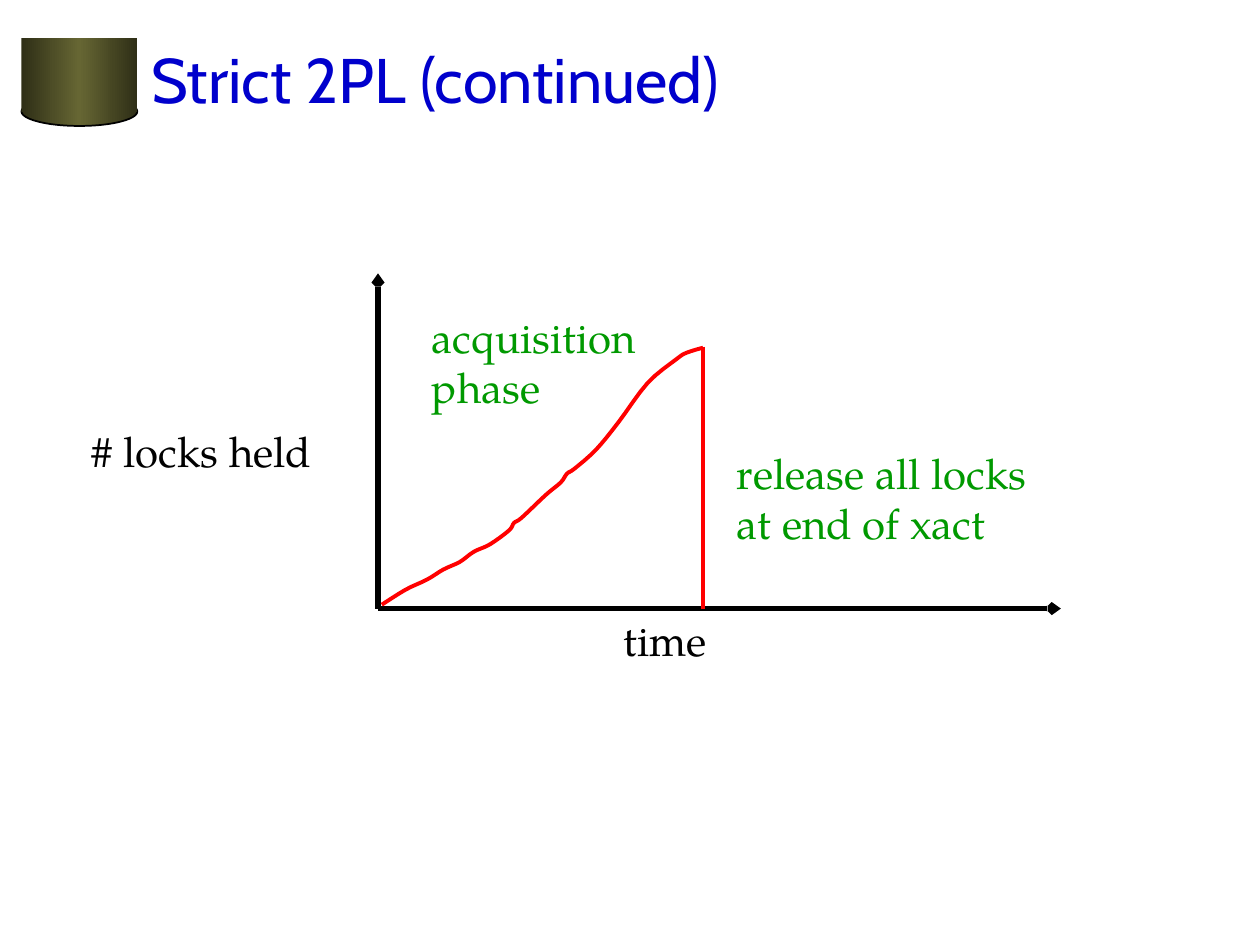
import copy
from dataclasses import dataclass

import pptx
import pptx.dml.color
import pptx.enum.shapes
import pptx.enum.text
import pptx.oxml.ns
import pptx.util

Inches = pptx.util.Inches
Pt = pptx.util.Pt
Shapes = pptx.enum.shapes.MSO_SHAPE
Anchor = pptx.enum.text.MSO_ANCHOR
qn = pptx.oxml.ns.qn


@dataclass(frozen=True)
class Theme:
    title_font: str = "Cabin"
    body_font: str = "TeX Gyre Pagella"
    title_size: int = 36
    body_size: int = 24
    title: str = "0000CC"
    ink: str = "000000"
    phase: str = "009900"
    locks: str = "FF0000"
    drum_edge: str = "2F2F17"
    drum_middle: str = "666633"
    axis_width: float = 3
    curve_width: float = 2.25


def rgb(value):
    return pptx.dml.color.RGBColor.from_string(value)


def write(box, text, *, font, size, color, anchor=Anchor.TOP, left_inset=0.1):
    """Put one formatted paragraph into a box."""
    frame = box.text_frame
    frame.word_wrap = True
    frame.vertical_anchor = anchor
    frame.margin_left = Inches(left_inset)
    span = frame.paragraphs[0].add_run()
    span.text = text
    span.font.name = font
    span.font.size = Pt(size)
    span.font.color.rgb = rgb(color)


def smooth(points, steps=4):
    """Sample a Catmull-Rom curve through the points."""
    padded = [points[0], *points, points[-1]]
    result = [points[0]]
    for a, b, c, d in zip(padded, padded[1:], padded[2:], padded[3:]):
        for step in range(1, steps + 1):
            t = step / steps
            result.append(tuple(
                (2 * q + (r - p) * t + (2 * p - 5 * q + 4 * r - s) * t ** 2
                 + (3 * q - p - 3 * r + s) * t ** 3) / 2
                for p, q, r, s in zip(a, b, c, d)))
    return result


class SlideBuilder:
    def __init__(self, page, theme):
        self.page = page
        self.theme = theme

    def text(self, text, left, top, width, height, **style):
        box = self.page.shapes.add_textbox(*map(Inches, (left, top, width, height)))
        defaults = dict(font=self.theme.body_font, size=self.theme.body_size,
                        color=self.theme.ink)
        write(box, text, **{**defaults, **style})

    def drum_part(self, kind, left, top, width, height, outline=None):
        part = self.page.shapes.add_shape(kind, *map(Inches, (left, top, width, height)))
        part.shadow.inherit = False
        part.fill.gradient()
        part.fill.gradient_angle = 180
        first = part.fill.gradient_stops
        for stop, position in zip(first, (0, 1)):
            stop.color.rgb = rgb(self.theme.drum_edge)
            stop.position = position
        stop_list = part._element.spPr.find(".//" + qn("a:gsLst"))
        stop_list.insert(1, copy.deepcopy(stop_list[0]))
        middle = part.fill.gradient_stops[1]
        middle.color.rgb = rgb(self.theme.drum_middle)
        middle.position = 0.5
        if outline:
            part.line.color.rgb = rgb(outline)
            part.line.width = Pt(1)
        else:
            part.line.fill.background()

    def line(self, start, end, color, width, arrow=False):
        line = self.page.shapes.add_connector(
            pptx.enum.shapes.MSO_CONNECTOR.STRAIGHT, *map(Inches, (*start, *end)))
        line.line.color.rgb = rgb(color)
        line.line.width = Pt(width)
        properties = line._element.spPr
        if arrow:
            tip = properties.find(qn("a:ln")).makeelement(
                qn("a:tailEnd"), {"type": "arrow", "w": "sm", "len": "sm"})
            properties.find(qn("a:ln")).append(tip)
        properties.append(properties.makeelement(qn("a:effectLst"), {}))

    def curve(self, points, color, width):
        vertices = [(Inches(x), Inches(y)) for x, y in smooth(points)]
        builder = self.page.shapes.build_freeform(*vertices[0])
        builder.add_line_segments(vertices[1:], close=False)
        curve = builder.convert_to_shape()
        curve.shadow.inherit = False
        curve.fill.background()
        curve.line.color.rgb = rgb(color)
        curve.line.width = Pt(width)


LOCK_CURVE = [
    (3.03, 4.8), (3.22, 4.68), (3.39, 4.6), (3.52, 4.52), (3.65, 4.46),
    (3.76, 4.38), (3.89, 4.32), (4.04, 4.21), (4.08, 4.15), (4.14, 4.11),
    (4.33, 3.93), (4.45, 3.83), (4.5, 3.76), (4.56, 3.72), (4.73, 3.57),
    (4.91, 3.35), (5.14, 3.04), (5.37, 2.85), (5.45, 2.8), (5.58, 2.76),
]


def main():
    deck = pptx.Presentation()
    deck.slide_width, deck.slide_height = Inches(10), Inches(7.5)
    theme = Theme()
    slide = SlideBuilder(deck.slides.add_slide(deck.slide_layouts[6]), theme)

    # Drum ornament and title
    slide.drum_part(Shapes.OVAL, 0.17, 0.77, 0.92, 0.23, outline=theme.ink)
    slide.drum_part(Shapes.RECTANGLE, 0.17, 0.3, 0.92, 0.59)
    slide.text("Strict 2PL (continued)", 1, 0, 8.5, 1.25, font=theme.title_font,
               size=theme.title_size, color=theme.title,
               anchor=Anchor.MIDDLE, left_inset=0.2)

    # Axes
    origin = (3, 4.83)
    for tip in ((3, 2.17), (8.42, 4.83)):
        slide.line(origin, tip, theme.ink, theme.axis_width, arrow=True)
    slide.text("# locks held", 0.63, 3.33, 2.61, 0.5)
    slide.text("time", 4.85, 4.83, 1, 0.5)

    # Locks grow, then drop all at once
    slide.curve(LOCK_CURVE, theme.locks, theme.curve_width)
    slide.line((5.58, 2.75), (5.58, 4.83), theme.locks, theme.curve_width)
    slide.text("acquisition phase", 3.33, 2.42, 2.17, 0.9, color=theme.phase)
    slide.text("release all locks at end of xact", 5.75, 3.5, 2.75, 1.3,
               color=theme.phase)

    deck.save("out.pptx")


if __name__ == "__main__":
    main()
